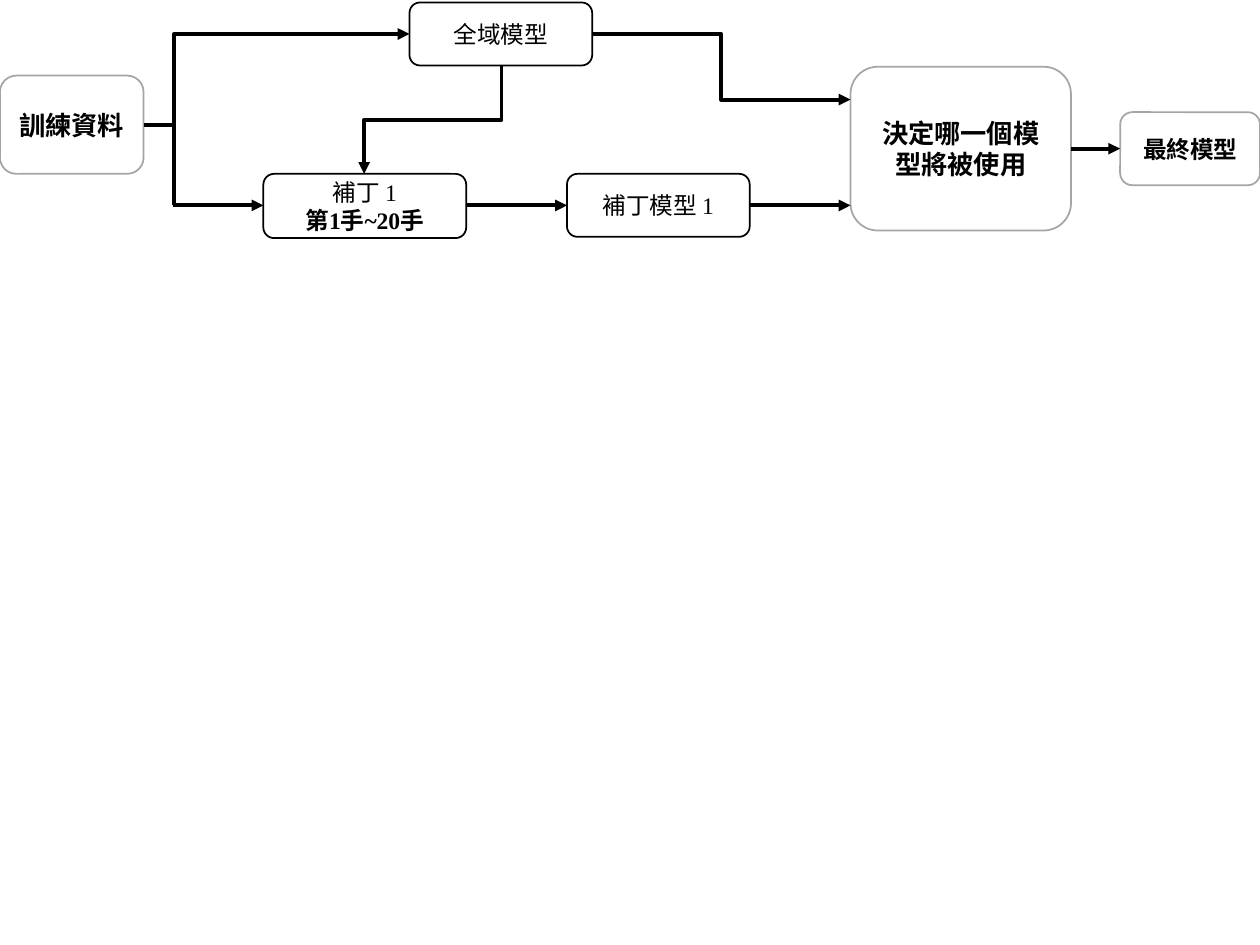
from dataclasses import dataclass
from lxml.etree import SubElement
from pptx import Presentation
from pptx.dml.color import RGBColor
from pptx.enum.shapes import MSO_CONNECTOR, MSO_SHAPE
from pptx.enum.text import MSO_ANCHOR, PP_ALIGN
from pptx.oxml.ns import qn
from pptx.util import Inches, Pt


@dataclass(frozen=True)
class Theme:
    """Colours, type and line sizes."""
    ink: RGBColor = RGBColor(0, 0, 0)
    gray: RGBColor = RGBColor(0xA5, 0xA5, 0xA5)
    paper: RGBColor = RGBColor(255, 255, 255)
    font: str = "Times New Roman"
    big: Pt = Pt(15)
    small: Pt = Pt(13.5)
    edge: Pt = Pt(1)
    flow: Pt = Pt(2.25)


THEME = Theme()


def apply(target, form):
    """Set each attribute named in a dict."""
    for name, value in form.items():
        setattr(target, name, value)


def add_node(slide, box, lines, size, edge):
    """Draw a rounded box holding lines of (text, bold)."""
    node = slide.shapes.add_shape(MSO_SHAPE.ROUNDED_RECTANGLE, *map(Inches, box))
    node.shadow.inherit = False
    node.fill.solid()
    node.fill.fore_color.rgb = THEME.paper
    node.line.color.rgb = edge
    node.line.width = THEME.edge
    frame = node.text_frame
    apply(frame, {"word_wrap": True, "vertical_anchor": MSO_ANCHOR.MIDDLE})
    for i, (text, bold) in enumerate(lines):
        para = frame.add_paragraph() if i else frame.paragraphs[0]
        para.alignment = PP_ALIGN.CENTER
        run = para.add_run()
        run.text = text
        apply(run.font, {"name": THEME.font, "size": size, "bold": bold})
        run.font.color.rgb = THEME.ink


def add_flow(slide, start, end, bend=None, down=False, head=True):
    """Draw a straight or bent line; bend is the turn as a share of the way."""
    (x1, y1), (x2, y2) = start, end
    if down:
        mx, my = (x1 + x2) / 2, (y1 + y2) / 2
        dx, dy = (y2 - y1) / 2, (x1 - x2) / 2
        x1, y1, x2, y2 = mx - dx, my - dy, mx + dx, my + dy
    kind = MSO_CONNECTOR.STRAIGHT if bend is None else MSO_CONNECTOR.ELBOW
    flow = slide.shapes.add_connector(kind, *map(Inches, (x1, y1, x2, y2)))
    flow.line.color.rgb = THEME.ink
    flow.line.width = THEME.flow
    props = flow._element.spPr
    if down:
        props.find(qn("a:xfrm")).set("rot", "5400000")
    if bend is not None:
        guides = props.find(qn("a:prstGeom")).find(qn("a:avLst"))
        guide = SubElement(guides, qn("a:gd"))
        guide.set("name", "adj1")
        guide.set("fmla", f"val {round(bend * 100000)}")
    if head:
        SubElement(props.find(qn("a:ln")), qn("a:tailEnd")).set("type", "triangle")
    SubElement(props, qn("a:effectLst"))


def add_chain(slide, left, top):
    """Draw the model flow from its top left corner."""
    def at(x, y):
        """Move a point into the flow's box."""
        return left + x, top + y

    high, low, fork = 0.27, 1.63, 1.37
    nodes = [
        (0, 0.6, 1.14, 0.78, [("訓練資料", True)], THEME.big, THEME.gray),
        (8.89, 0.89, 1.11, 0.58, [("最終模型", True)], THEME.small, THEME.gray),
        (3.25, 0.02, 1.45, 0.5, [("全域模型", False)], THEME.small, THEME.ink),
        (4.5, 1.38, 1.45, 0.5, [("補丁模型 1", False)], THEME.small, THEME.ink),
        (2.09, 1.38, 1.61, 0.51, [("補丁 1", False), ("第1手~20手", True)],
         THEME.small, THEME.ink),
        (6.75, 0.53, 1.75, 1.3, [("決定哪一個模型將被使用", True)],
         THEME.big, THEME.gray),
    ]
    for x, y, wide, tall, *rest in nodes:
        add_node(slide, (*at(x, y), wide, tall), *rest)

    flows = [
        ((3.98, 0.52), (2.89, 1.38), {"bend": 0.5, "down": True}),
        ((fork, low), (2.09, low), {}),
        ((fork, low), (3.25, high), {"bend": 0.006}),
        ((3.7, low), (4.5, low), {}),
        ((4.7, high), (6.75, 0.79), {"bend": 0.5}),
        ((5.95, low), (6.75, low), {}),
        ((8.5, 1.18), (8.89, 1.18), {}),
        ((1.14, 0.99), (fork, 0.99), {"head": False}),
    ]
    for start, end, form in flows:
        add_flow(slide, at(*start), at(*end), **form)


def main():
    """Build and save the deck."""
    deck = Presentation()
    apply(deck, {"slide_width": Inches(10), "slide_height": Inches(7.5)})
    slide = deck.slides.add_slide(deck.slide_layouts[6])
    add_chain(slide, 0, 0)
    deck.save("out.pptx")


main()
